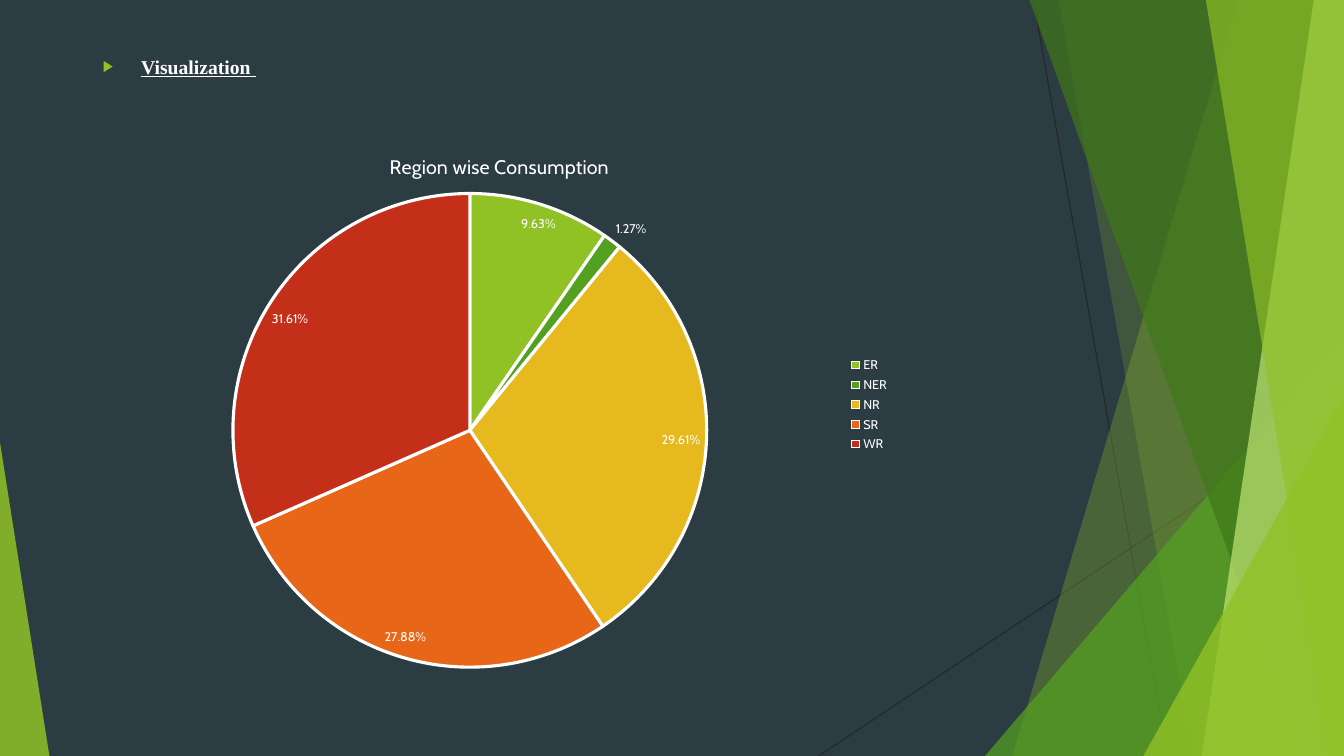
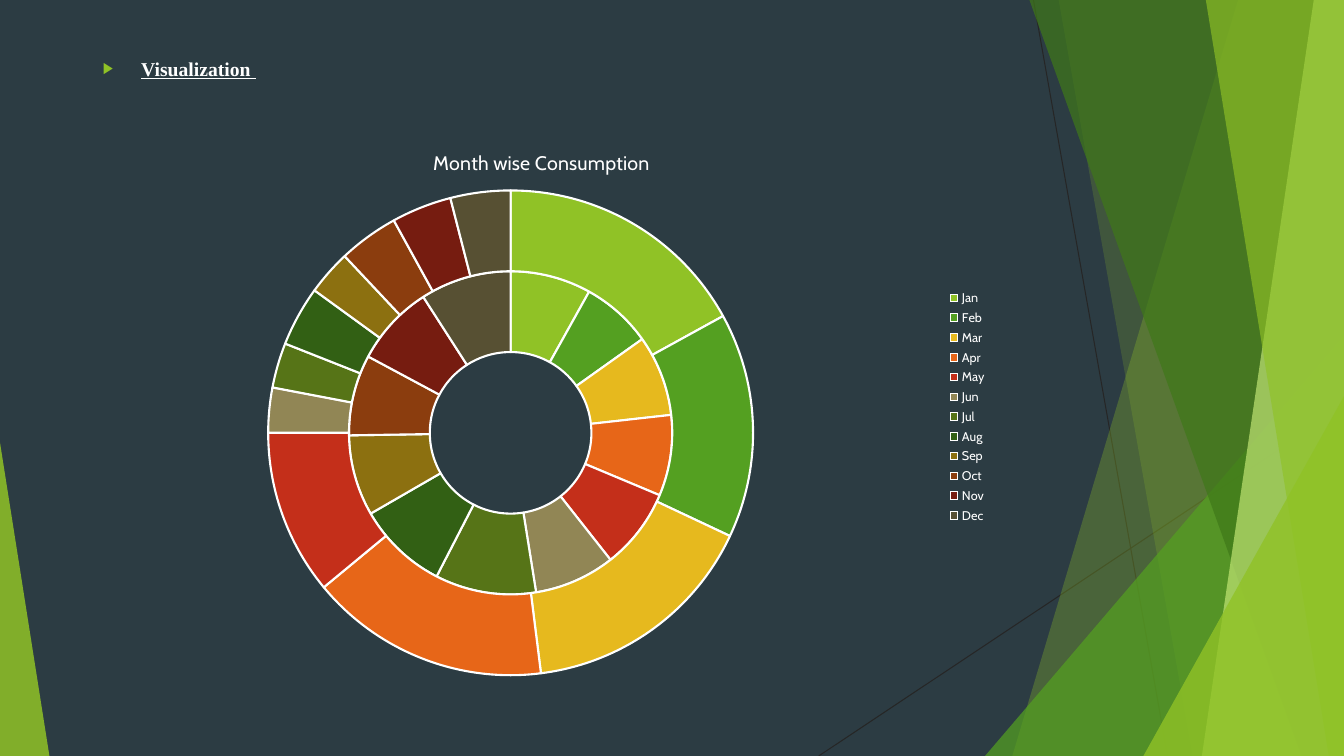
from lxml.etree import SubElement
from pptx import Presentation
from pptx.chart.data import CategoryChartData as ChartData
from pptx.dml.color import RGBColor
from pptx.enum.chart import XL_CHART_TYPE as Kind
from pptx.enum.chart import XL_LABEL_POSITION as Place
from pptx.enum.chart import XL_LEGEND_POSITION as Side
from pptx.enum.shapes import MSO_CONNECTOR as Link
from pptx.enum.shapes import MSO_SHAPE as Preset
from pptx.oxml.ns import qn
from pptx.util import Inches, Pt

WIDE, HIGH = 13.33, 7.5
SLATE = RGBColor(0x2C, 0x3C, 0x43)
INK = RGBColor(0x26, 0x26, 0x26)
WHITE = RGBColor(0xFF, 0xFF, 0xFF)
LIME = RGBColor(0x90, 0xC2, 0x26)
GREEN = RGBColor(0x54, 0xA0, 0x21)
DARK = RGBColor(0x3F, 0x78, 0x19)
PALE = RGBColor(0xC0, 0xE4, 0x74)
HUES = [
    LIME, GREEN,
    RGBColor(0xE6, 0xB9, 0x1E), RGBColor(0xE7, 0x66, 0x18),
    RGBColor(0xC4, 0x2F, 0x1A), RGBColor(0x91, 0x86, 0x55),
    RGBColor(0x56, 0x74, 0x17), RGBColor(0x32, 0x60, 0x14),
    RGBColor(0x8C, 0x70, 0x10), RGBColor(0x8B, 0x3D, 0x0E),
    RGBColor(0x76, 0x1C, 0x10), RGBColor(0x57, 0x50, 0x33),
]
SANS, SERIF = "Cabin", "Times New Roman"

REGIONS = ["ER", "NER", "NR", "SR", "WR"]
SHARES = [0.0963, 0.0127, 0.2961, 0.2788, 0.3161]
MONTHS = ["Jan", "Feb", "Mar", "Apr", "May", "Jun",
          "Jul", "Aug", "Sep", "Oct", "Nov", "Dec"]
INNER = [8, 7, 8, 8, 8, 8, 10, 9, 8, 8, 8, 9]
OUTER = [17, 15, 16, 16, 11, 3, 3, 4, 3, 4, 4, 4]


def inch(*sizes):
    return [Inches(size) for size in sizes]


def tint(shape, color, alpha):
    """Fill with a color at alpha percent, with no outline or shadow."""
    shape.shadow.inherit = False
    shape.fill.solid()
    shape.fill.fore_color.rgb = color
    shape.line.fill.background()
    node = shape.element.find(".//" + qn("a:srgbClr"))
    SubElement(node, qn("a:alpha"), val=str(alpha * 1000))


def add_line(shapes, *ends):
    line = shapes.add_connector(Link.STRAIGHT, *inch(*ends))
    line.line.color.rgb = INK
    line.line.width = Pt(0.75)
    SubElement(line.element.find(qn("p:spPr")), qn("a:effectLst"))


def add_band(shapes, top, base, color, alpha):
    """Band from a slanted left edge (x at top, x at base) to the right side."""
    form = shapes.build_freeform(*inch(top, 0), scale=1.0)
    corners = [(WIDE, 0), (WIDE, HIGH), (base, HIGH)]
    form.add_line_segments([inch(*spot) for spot in corners], close=True)
    tint(form.convert_to_shape(), color, alpha)


def add_wedge(shapes, left, top, width, tip, color, alpha):
    box = inch(left, top, width, HIGH - top)
    wedge = shapes.add_shape(Preset.ISOSCELES_TRIANGLE, *box)
    wedge.adjustments[0] = tip
    tint(wedge, color, alpha)


def draw_facets(shapes):
    add_line(shapes, 10.25, 0, 11.58, HIGH)
    add_line(shapes, WIDE, 4.03, 8.12, HIGH)
    add_band(shapes, 12.28, 10.04, LIME, 30)
    add_band(shapes, 10.5, 11.83, LIME, 20)
    add_wedge(shapes, 9.77, 3.33, 3.56, 1, GREEN, 72)
    add_band(shapes, 10.21, 12.91, DARK, 70)
    add_band(shapes, 13.03, 11.92, PALE, 70)
    add_band(shapes, 11.96, 13.18, LIME, 65)
    add_wedge(shapes, 11.34, 3.93, 1.99, 1, LIME, 80)
    add_wedge(shapes, 0, 4.39, 0.49, 0, LIME, 85)


def set_master(master, slide):
    """Draw the theme on a blank slide, then move it to the master."""
    master.background.fill.solid()
    master.background.fill.fore_color.rgb = SLATE
    draw_facets(slide.shapes)
    tree = master.shapes.element
    for step, shape in enumerate(list(slide.shapes)):
        node = shape.element
        next(node.iter(qn("p:cNvPr"))).set("id", str(100 + step))
        tree.insert(2 + step, node)


def new_slide(deck):
    """Add a slide that keeps only its body placeholder."""
    slide = deck.slides.add_slide(deck.slide_layouts[1])
    title = slide.shapes.title.element
    title.getparent().remove(title)
    return slide


def set_body(body, text, box):
    body.left, body.top, body.width, body.height = inch(*box)
    para = body.text_frame.paragraphs[0]
    para.space_before = Pt(10)
    run = para.add_run()
    run.text = text
    font = run.font
    font.name, font.size = SERIF, Pt(14)
    font.bold = font.underline = True
    font.color.rgb = WHITE
    props = para.element if hasattr(para, "element") else run.font
    props = body.element.find(".//" + qn("a:pPr"))
    props.set("marL", str(Inches(0.38)))
    props.set("indent", str(-Inches(0.38)))
    color = SubElement(props, qn("a:buClr"))
    SubElement(color, qn("a:srgbClr"), val=str(LIME))
    SubElement(props, qn("a:buSzPct"), val="80000")
    SubElement(props, qn("a:buFont"), typeface="Arial")
    SubElement(props, qn("a:buChar"), char="▶")


def set_font(font, size):
    font.name, font.size, font.bold = SANS, Pt(size), False
    font.color.rgb = WHITE


def set_layout(node, index, box, spot, inner=False):
    """Pin a chart part at a spot given in slide inches."""
    old = node.find(qn("c:layout"))
    if old is not None:
        node.remove(old)
    layout = SubElement(node, qn("c:layout"))
    node.insert(index, layout)
    manual = SubElement(layout, qn("c:manualLayout"))
    if inner:
        SubElement(manual, qn("c:layoutTarget"), val="inner")
    for axis in "xy":
        SubElement(manual, qn(f"c:{axis}Mode"), val="edge")
    left, top, width, height = box
    parts = [(spot[0] - left) / width, (spot[1] - top) / height]
    parts += [size / whole for size, whole in zip(spot[2:], box[2:])]
    for name, part in zip("xywh", parts):
        SubElement(manual, qn(f"c:{name}"), val=f"{part:.4f}")


def add_round(slide, kind, title, names, rows, box, head, ring, edge):
    """Add a pie or ring chart; head and ring place its title and plot."""
    data = ChartData()
    data.categories = names
    for index, row in enumerate(rows, 1):
        data.add_series(f"Series {index}", row)
    chart = slide.shapes.add_chart(kind, *inch(*box), data).chart
    set_font(chart.font, 10)

    chart.has_title = True
    run = chart.chart_title.text_frame.paragraphs[0].add_run()
    run.text = title
    set_font(run.font, 14)
    set_layout(chart.chart_title.element, 1, box, head)
    area = chart.element.find(".//" + qn("c:plotArea"))
    set_layout(area, 0, box, ring, inner=True)

    chart.has_legend = True
    chart.legend.position = Side.RIGHT
    chart.legend.include_in_layout = False
    set_font(chart.legend.font, 9)

    plot = chart.plots[0]
    plot.vary_by_categories = True
    for row in plot.series:
        for index, hue in enumerate(HUES[:len(names)]):
            look = row.points[index].format
            look.fill.solid()
            look.fill.fore_color.rgb = hue
            look.line.color.rgb = WHITE
            look.line.width = Pt(edge)
    return plot


def add_labels(plot):
    labels = plot.series[0].data_labels
    labels.show_value = True
    labels.show_percentage = False
    labels.number_format = "0.00%"
    labels.number_format_is_linked = False
    labels.position = Place.BEST_FIT
    set_font(labels.font, 9)


def main():
    deck = Presentation()
    deck.slide_width, deck.slide_height = inch(WIDE, HIGH)

    first = new_slide(deck)
    body = first.placeholders[1]
    holder = body.element.getparent()
    holder.remove(body.element)
    set_master(deck.slide_master, first)
    holder.append(body.element)
    set_body(body, "Visualization ", (0.92, 0.49, 11.5, 6.03))
    pie = add_round(first, Kind.PIE, "Region wise Consumption",
                    REGIONS, [SHARES], (0.92, 1.27, 8, 5.49),
                    (3.83, 1.48), (2.31, 1.92, 4.7, 4.7), 2.25)
    add_labels(pie)

    second = new_slide(deck)
    set_body(second.placeholders[1], "Visualization ",
             (0.92, 0.51, 11.57, 6.75))
    add_round(second, Kind.DOUGHNUT, "Month wise Consumption",
              MONTHS, [INNER, OUTER], (0.74, 1.23, 9.15, 5.61),
              (4.26, 1.45), (2.66, 1.89, 4.81, 4.81), 1.5)

    deck.save("out.pptx")


if __name__ == "__main__":
    main()
